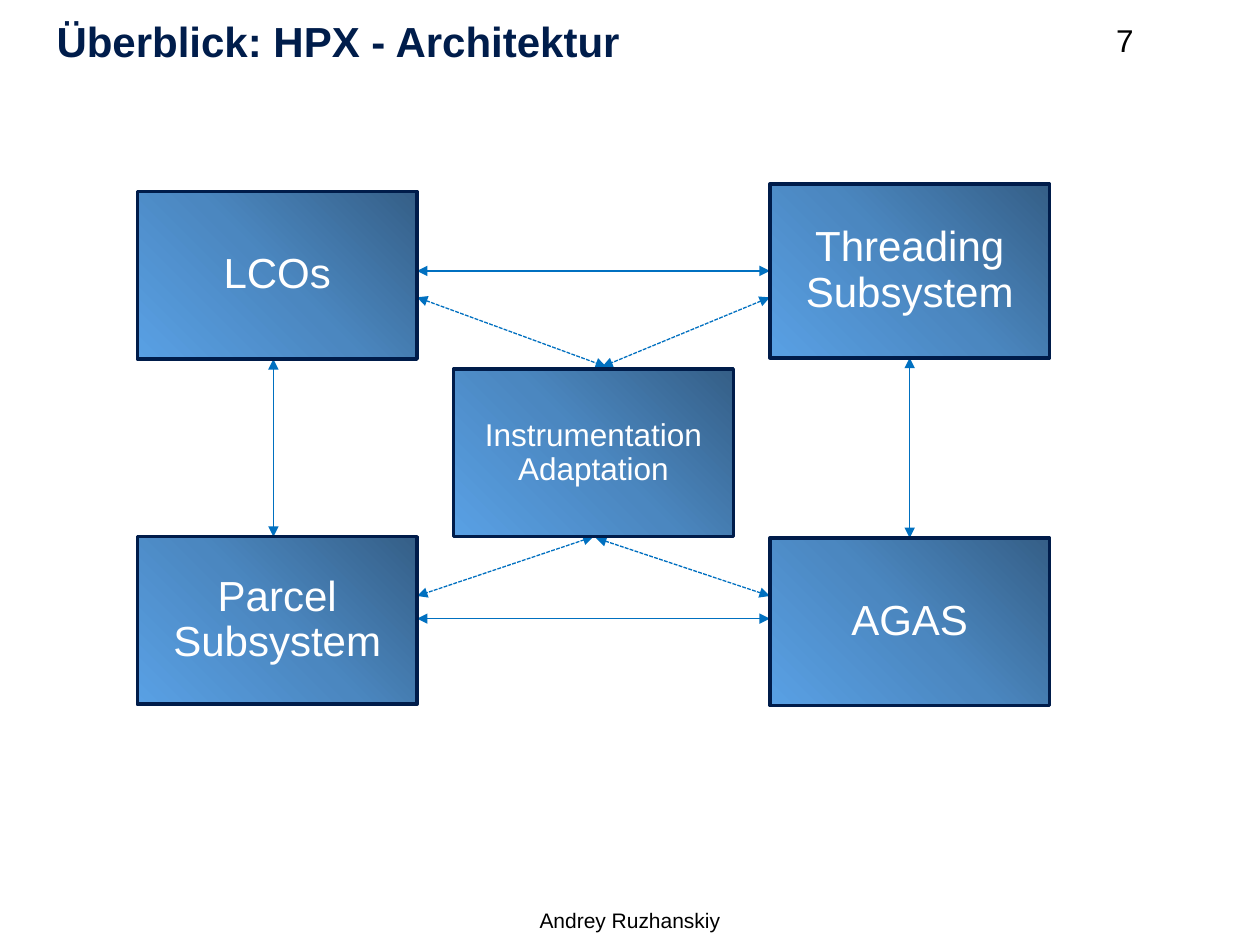
from dataclasses import dataclass
from typing import Optional

from lxml import etree
from pptx import Presentation
from pptx.dml.color import RGBColor
from pptx.enum.dml import MSO_LINE
from pptx.enum.shapes import MSO_CONNECTOR, MSO_SHAPE
from pptx.enum.text import MSO_ANCHOR, PP_ALIGN
from pptx.oxml import parse_xml
from pptx.oxml.ns import nsdecls, qn
from pptx.util import Inches, Pt

STRAIGHT = MSO_CONNECTOR.STRAIGHT
RECTANGLE = MSO_SHAPE.RECTANGLE
DASH = MSO_LINE.SQUARE_DOT
LEFT, CENTER = PP_ALIGN.LEFT, PP_ALIGN.CENTER
TOP, MIDDLE, BOTTOM = MSO_ANCHOR.TOP, MSO_ANCHOR.MIDDLE, MSO_ANCHOR.BOTTOM
TOP_SIDE, LEFT_SIDE, BOTTOM_SIDE = 0, 1, 2


@dataclass(frozen=True)
class Theme:
    font: str = "Arial"
    title: str = "001D4B"
    border: str = "001C4A"
    arrow: str = "0070C0"
    text: str = "000000"
    block_text: str = "FFFFFF"
    gradient: tuple = ("355F87", "4B87C0", "59A0E4")
    large: int = 24
    medium: int = 18
    small: int = 12


@dataclass(frozen=True)
class Block:
    label: str
    column: int
    row: int
    size: int = Theme.large
    shift: float = 0
    height: float = 1.33


@dataclass(frozen=True)
class Label:
    text: str
    area: tuple
    size: int
    color: str = Theme.text
    align: PP_ALIGN = LEFT
    anchor: MSO_ANCHOR = TOP
    bold: bool = False
    margin: float = 0.05


@dataclass(frozen=True)
class Arrow:
    start: tuple
    end: tuple
    dashed: bool = False
    start_joint: Optional[tuple] = None  # block label and side
    end_joint: Optional[tuple] = None


THEME = Theme()

# Grid of the diagram, in inches
GRID_LEFT, COLUMN_STEP, BLOCK_WIDTH = 1.09, 2.51, 2.22
ROW_TOPS = (1.52, 2.93, 4.26)
INNER_LEFT = GRID_LEFT + BLOCK_WIDTH
INNER_RIGHT = GRID_LEFT + 2 * COLUMN_STEP
RIGHT_MIDDLE = INNER_RIGHT + BLOCK_WIDTH / 2

LABELS = (
    Label("Überblick: HPX - Architektur", (0.35, 0.08, 9.15, 0.44), THEME.large,
          THEME.title, anchor=BOTTOM, bold=True, margin=0),
    Label("Andrey Ruzhanskiy", (3.31, 7.15, 3.38, 0.31), THEME.small, align=CENTER),
    Label("7", (8.76, 0.12, 0.74, 0.4), THEME.medium),
)

BLOCKS = (
    Block("LCOs", 0, 0),
    Block("Threading Subsystem", 2, 0, shift=-0.06, height=1.38),
    Block("Parcel Subsystem", 0, 2),
    Block("AGAS", 2, 2, shift=0.01),
    Block("Instrumentation Adaptation", 1, 1, THEME.medium),
)

ARROWS = (
    Arrow((INNER_LEFT, 2.15), (INNER_RIGHT, 2.15),
          end_joint=("Threading Subsystem", LEFT_SIDE)),
    Arrow((RIGHT_MIDDLE, 2.85), (RIGHT_MIDDLE, 4.27),
          start_joint=("Threading Subsystem", BOTTOM_SIDE), end_joint=("AGAS", TOP_SIDE)),
    Arrow((INNER_LEFT, 4.91), (INNER_RIGHT, 4.91)),
    Arrow((2.17, 2.85), (2.17, 4.26)),
    Arrow((INNER_RIGHT, 2.36), (4.78, 2.91), dashed=True),
    Arrow((INNER_LEFT, 2.36), (4.81, 2.91), dashed=True),
    Arrow((4.71, 4.26), (INNER_LEFT, 4.73), dashed=True,
          start_joint=("Instrumentation Adaptation", BOTTOM_SIDE)),
    Arrow((4.73, 4.27), (INNER_RIGHT, 4.73), dashed=True),
)


def write_text(shape, text: str, size: int, color: str, align, anchor, bold=False):
    frame = shape.text_frame
    frame.word_wrap = True
    frame.vertical_anchor = anchor
    para = frame.paragraphs[0]
    para.text = text
    para.alignment = align
    font = para.font
    font.name, font.size, font.bold = THEME.font, Pt(size), bold
    font.color.rgb = RGBColor.from_string(color)
    return frame


def draw_label(page, label: Label) -> None:
    box = page.shapes.add_textbox(*map(Inches, label.area))
    frame = write_text(box, label.text, label.size, label.color,
                       label.align, label.anchor, label.bold)
    frame.margin_top = frame.margin_bottom = Inches(label.margin)


def fill_radial(shape) -> None:
    """Fill with a circular gradient centred on the top right corner."""
    stops = "".join(
        f'<a:gs pos="{index * 50000}"><a:srgbClr val="{color}"/></a:gs>'
        for index, color in enumerate(THEME.gradient))
    gradient = parse_xml(
        f'<a:gradFill {nsdecls("a")} rotWithShape="1"><a:gsLst>{stops}</a:gsLst>'
        '<a:path path="circle"><a:fillToRect l="100000" b="100000"/></a:path></a:gradFill>')
    shape._element.spPr.find(qn("a:prstGeom")).addnext(gradient)


def draw_block(page, block: Block):
    shape = page.shapes.add_shape(
        RECTANGLE,
        Inches(GRID_LEFT + block.column * COLUMN_STEP),
        Inches(ROW_TOPS[block.row] + block.shift),
        Inches(BLOCK_WIDTH), Inches(block.height))
    shape.shadow.inherit = False
    fill_radial(shape)
    shape.line.color.rgb = RGBColor.from_string(THEME.border)
    shape.line.width = Pt(2)
    frame = write_text(shape, block.label, block.size, THEME.block_text, CENTER, MIDDLE)
    frame.margin_left = frame.margin_right = Inches(0.23)
    frame.margin_top = frame.margin_bottom = Inches(0.23)
    frame.paragraphs[0].line_spacing = 0.9
    return shape


def draw_arrow(page, arrow: Arrow, blocks: dict) -> None:
    connector = page.shapes.add_connector(
        STRAIGHT, *map(Inches, arrow.start + arrow.end))
    if arrow.start_joint:
        name, side = arrow.start_joint
        connector.begin_connect(blocks[name], side)
    if arrow.end_joint:
        name, side = arrow.end_joint
        connector.end_connect(blocks[name], side)
    line = connector.line
    line.color.rgb = RGBColor.from_string(THEME.arrow)
    line.width = Pt(0.75)
    if arrow.dashed:
        line.dash_style = DASH
    properties = connector._element.spPr
    outline = properties.find(qn("a:ln"))
    for end in ("a:headEnd", "a:tailEnd"):
        etree.SubElement(outline, qn(end), type="triangle")
    etree.SubElement(properties, qn("a:effectLst"))


def main() -> None:
    deck = Presentation()
    deck.slide_width, deck.slide_height = Inches(10), Inches(7.5)
    page = deck.slides.add_slide(deck.slide_layouts[6])

    # Title, author and page number
    for label in LABELS:
        draw_label(page, label)

    # Architecture diagram
    blocks = {block.label: draw_block(page, block) for block in BLOCKS}
    for arrow in ARROWS:
        draw_arrow(page, arrow, blocks)

    # Bring the blocks in front of the arrows
    for shape in blocks.values():
        page.shapes._spTree.append(shape._element)

    deck.save("out.pptx")


if __name__ == "__main__":
    main()
